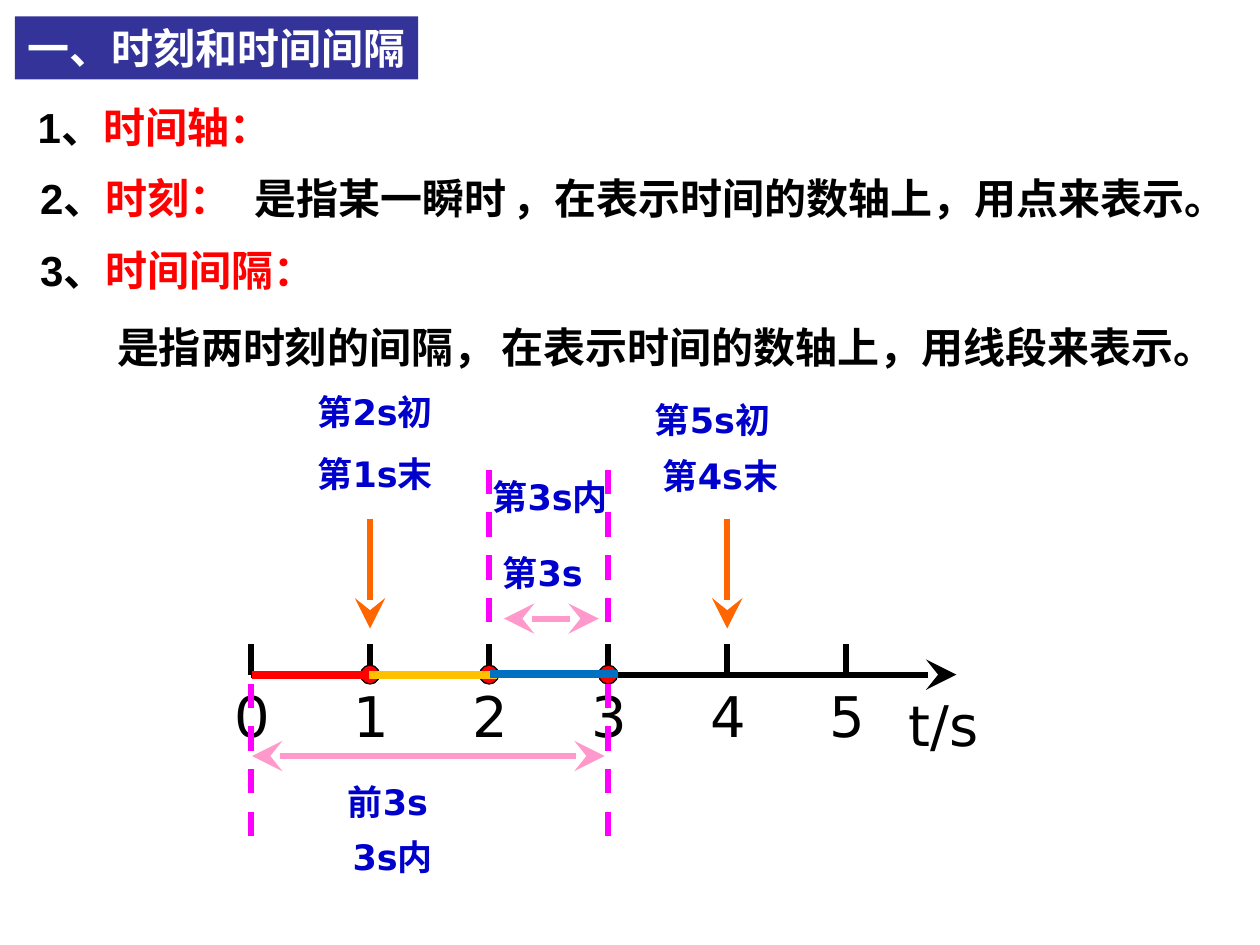
from typing import NamedTuple

from lxml.etree import SubElement
from pptx import Presentation
from pptx.dml.color import RGBColor
from pptx.enum.dml import MSO_LINE
from pptx.enum.shapes import MSO_CONNECTOR, MSO_SHAPE
from pptx.enum.text import MSO_ANCHOR, MSO_AUTO_SIZE, PP_ALIGN
from pptx.oxml.ns import qn
from pptx.util import Cm, Pt

BLACK, RED, WHITE = "000000", "FF0000", "FFFFFF"
NAVY, BLUE = "333399", "0000CC"
ORANGE, MAGENTA, PINK = "FF6600", "FF00FF", "FF99CC"

# Time axis, in centimetres
AXIS_X, AXIS_Y, SECOND = 5.06, 13.6, 2.4
TICK_TOP = 12.98
DOT = 0.38


class Run(NamedTuple):
    text: str
    color: str = BLACK


class Note(NamedTuple):
    """A line of the explanation; lengths in cm."""
    x: float
    y: float
    w: float
    runs: list[Run]


class Label(NamedTuple):
    """A name of an instant or interval; lengths in cm."""
    text: str
    x: float
    y: float
    w: float = 4.11


class Stroke(NamedTuple):
    """A straight line; lengths in cm, width in points."""
    x1: float
    y1: float
    x2: float
    y2: float
    color: str
    width: float = 3.5
    head: bool = False
    tail: bool = False
    dash: bool = False


def rgb(value: str) -> RGBColor:
    return RGBColor.from_string(value)


def tick_x(second: int) -> float:
    return AXIS_X + second * SECOND


def write(sp, runs: list[Run], size: float, font: str, bold: bool, wrap: bool,
          fit: MSO_AUTO_SIZE = MSO_AUTO_SIZE.SHAPE_TO_FIT_TEXT) -> None:
    tf = sp.text_frame
    tf.word_wrap = wrap
    tf.auto_size = fit
    tf.vertical_anchor = MSO_ANCHOR.TOP
    p = tf.paragraphs[0]
    p.alignment = PP_ALIGN.LEFT
    for run in runs:
        r = p.add_run()
        r.text = run.text
        r.font.size, r.font.name, r.font.bold = Pt(size), font, bold
        r.font.color.rgb = rgb(run.color)


def add_note(s, note: Note) -> None:
    sp = s.shapes.add_textbox(Cm(note.x), Cm(note.y), Cm(note.w), Cm(1.27))
    write(sp, note.runs, 24, "Arial", True, False)


def add_label(s, label: Label) -> None:
    sp = s.shapes.add_textbox(Cm(label.x), Cm(label.y), Cm(label.w), Cm(1.12))
    write(sp, [Run(label.text, BLUE)], 20, "DejaVu Sans", True, True)


def add_axis_text(s, text: str, x: float, y: float, w: float) -> None:
    sp = s.shapes.add_textbox(Cm(x), Cm(y), Cm(w), Cm(1.6))
    write(sp, [Run(text)], 32, "DejaVu Sans", False, True)


def add_stroke(s, k: Stroke) -> None:
    c = s.shapes.add_connector(
        MSO_CONNECTOR.STRAIGHT, Cm(k.x1), Cm(k.y1), Cm(k.x2), Cm(k.y2))
    c.line.color.rgb = rgb(k.color)
    c.line.width = Pt(k.width)
    if k.dash:
        c.line.dash_style = MSO_LINE.DASH
    ln = c.line._get_or_add_ln()
    for tag, wanted in (("a:headEnd", k.head), ("a:tailEnd", k.tail)):
        if wanted:
            SubElement(ln, qn(tag), type="stealth", w="lg", len="lg")
    SubElement(c._element.spPr, qn("a:effectLst"))


def add_dot(s, second: int) -> None:
    sp = s.shapes.add_shape(
        MSO_SHAPE.OVAL, Cm(tick_x(second) - DOT / 2), Cm(AXIS_Y - DOT / 2), Cm(DOT), Cm(DOT))
    sp.shadow.inherit = False
    sp.fill.solid()
    sp.fill.fore_color.rgb = rgb(RED)
    sp.line.color.rgb = rgb(BLACK)
    sp.line.width = Pt(0.75)


NOTES = [
    Note(0.51, 1.93, 5.23, [Run("1、"), Run("时间轴：", RED)]),
    Note(0.56, 3.35, 4.37, [Run("2、"), Run("时刻：", RED)]),
    Note(4.88, 3.35, 5.59, [Run("是指某一瞬时")]),
    Note(10.08, 3.35, 14.91, [Run("，在表示时间的数轴上，用点来表示。")]),
    Note(0.56, 4.8, 6.07, [Run("3、"), Run("时间间隔：", RED)]),
    Note(2.11, 6.35, 8.13, [Run("是指两时刻的间隔，")]),
    Note(9.86, 6.35, 14.91, [Run("在表示时间的数轴上，用线段来表示。")]),
]

LABELS = [
    Label("第1s末", 6.15, 8.99),
    Label("第2s初", 6.15, 7.75),
    Label("第4s末", 13.11, 9.04),
    Label("第5s初", 12.95, 7.9),
    Label("3s内", 6.86, 16.71),
    Label("前3s", 6.76, 15.6),
    Label("第3s", 9.88, 11, 2.39),
    Label("第3s内", 9.68, 9.47, 3.25),
]

AXIS = [Stroke(AXIS_X, AXIS_Y, 19.28, AXIS_Y, BLACK, tail=True)] + [
    Stroke(tick_x(i), TICK_TOP, tick_x(i), AXIS_Y, BLACK) for i in range(6)]

INTERVALS = [
    Stroke(x, y, x + 2.57, y, color, 4.5)
    for x, y, color in ((5.08, 13.61, RED), (7.44, 13.61, "FFC000"), (9.88, 13.59, "0070C0"))]

MARKS = (
    [Stroke(tick_x(i), 10.46, tick_x(i), 12.67, ORANGE, tail=True) for i in (1, 4)]
    + [Stroke(tick_x(i), top, tick_x(i), top + 3.2, MAGENTA, dash=True)
       for i, top in ((0, 13.78), (3, 13.78), (2, 9.47), (3, 9.47))]
    + [Stroke(x1, y, x2, y, PINK, head=True, tail=True)
       for x1, x2, y in ((12.19, 5.08, 15.24), (12.07, 10.16, 12.47))])


def main() -> None:
    prs = Presentation()
    prs.slide_width, prs.slide_height = Cm(25.4), Cm(19.05)
    s = prs.slides.add_slide(prs.slide_layouts[5])

    title = s.shapes.title
    title.left, title.top, title.width, title.height = Cm(0.3), Cm(0.33), Cm(8.13), Cm(1.27)
    title.fill.solid()
    title.fill.fore_color.rgb = rgb(NAVY)
    write(title, [Run("一、时刻和时间间隔", WHITE)], 24, "Arial", True, False,
          MSO_AUTO_SIZE.NONE)

    for note in NOTES:
        add_note(s, note)
    for stroke in AXIS:
        add_stroke(s, stroke)
    for i in range(6):
        add_axis_text(s, str(i), tick_x(i) - 0.59, 13.61, 1.6)
    add_axis_text(s, "t/s", 18.06, 13.79, 3.2)
    for i in (1, 2, 3):
        add_dot(s, i)
    for stroke in INTERVALS + MARKS:
        add_stroke(s, stroke)
    for label in LABELS:
        add_label(s, label)

    prs.save("out.pptx")


if __name__ == "__main__":
    main()
